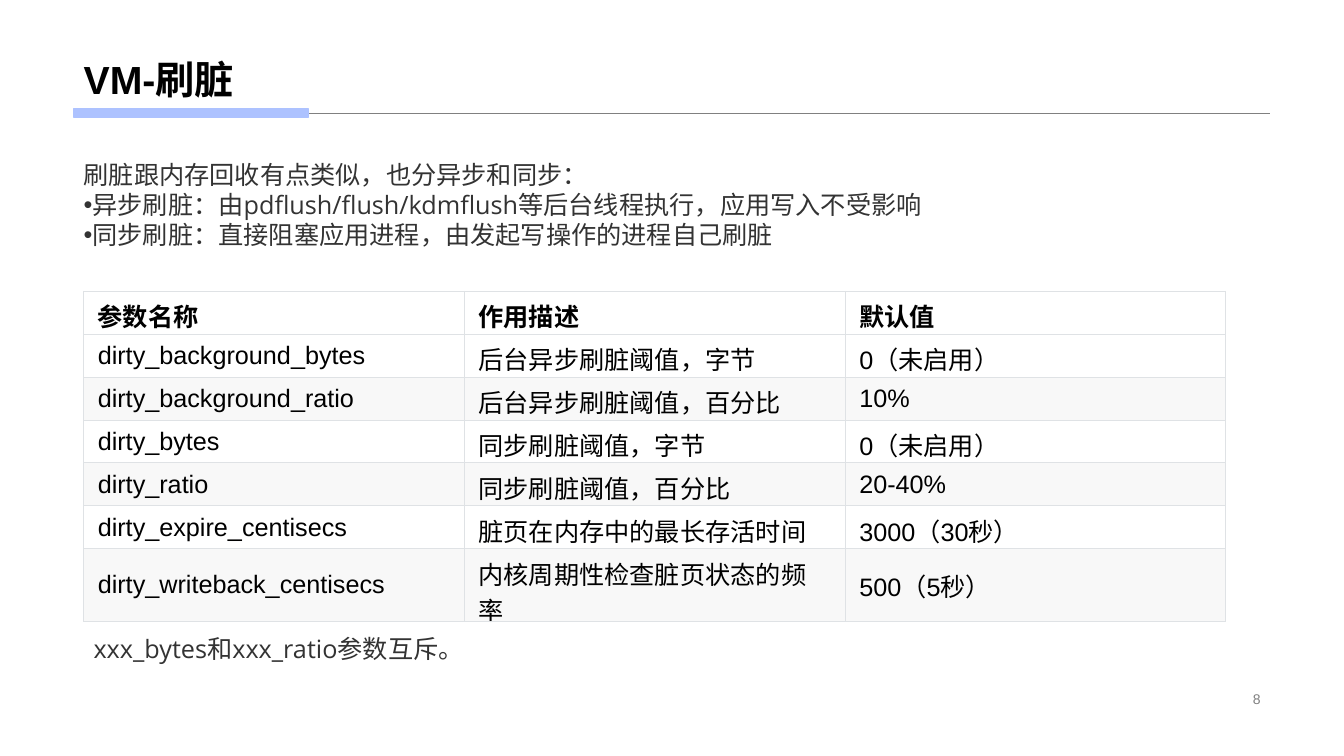
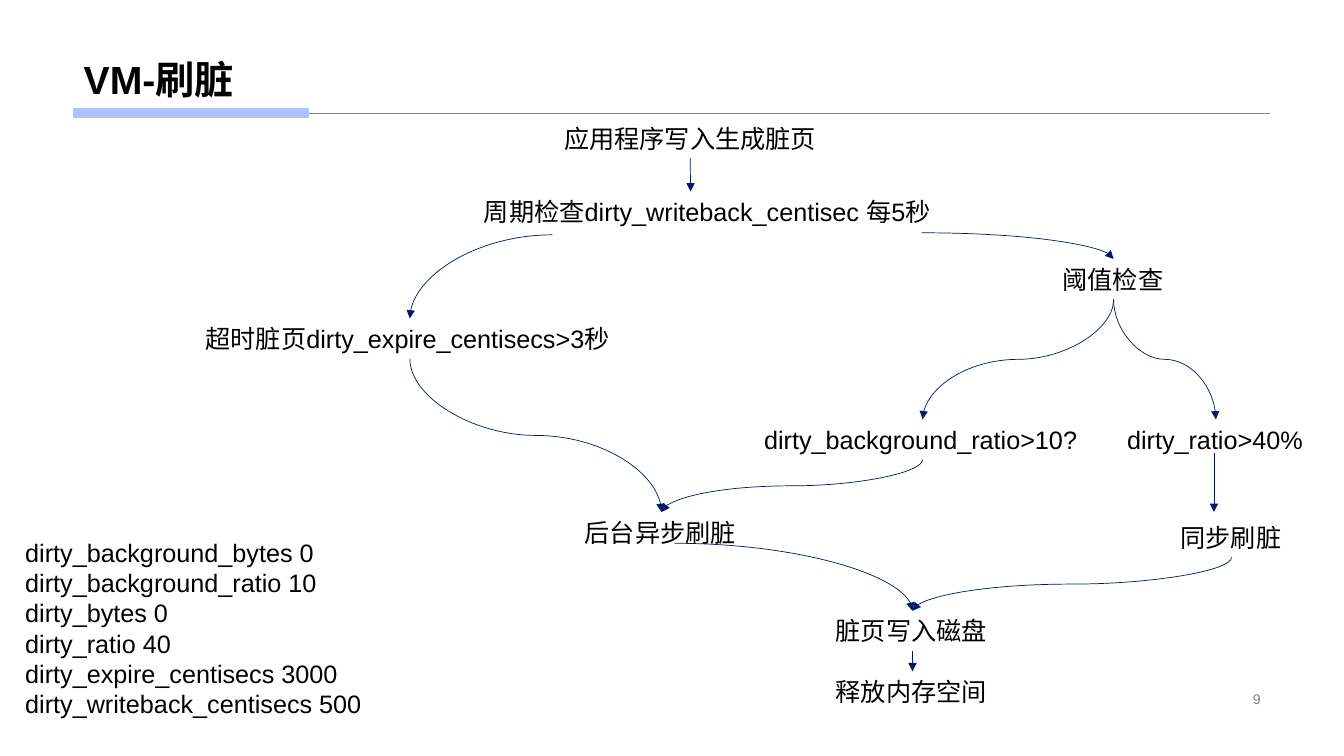
from dataclasses import dataclass

from lxml.etree import SubElement
from pptx import Presentation
from pptx.dml.color import RGBColor
from pptx.enum.shapes import MSO_CONNECTOR as Connector, MSO_SHAPE as Shape
from pptx.enum.text import MSO_ANCHOR as Anchor, MSO_AUTO_SIZE as AutoSize, PP_ALIGN as Align
from pptx.oxml.ns import qn
from pptx.util import Inches, Pt


@dataclass(frozen=True)
class Theme:
    font: str = "Arial"
    note_font: str = "Open Sans"
    ink: str = "000000"
    note: str = "333333"
    grey: str = "808080"
    accent: str = "ADC2FF"
    arrow: str = "001A66"
    border: str = "DFE2E5"
    white: str = "FFFFFF"
    stripe: str = "F8F8F8"
    title_size: int = 28
    text_size: int = 18
    number_size: int = 10


THEME = Theme()
TITLE_AND_CONTENT = 1
TOP, BOTTOM = 0, 2  # connection sites


def colour(code):
    return RGBColor.from_string(code)


def site_point(box, site):
    """Middle of a box's top or bottom side."""
    return box.left + box.width // 2, box.top + (box.height if site == BOTTOM else 0)


class SlideBuilder:
    def __init__(self, deck, theme):
        self.deck, self.theme, self.slide = deck, theme, None

    def new_slide(self, title, number):
        theme = self.theme
        self.slide = self.deck.slides.add_slide(self.deck.slide_layouts[TITLE_AND_CONTENT])
        # Title rule and accent band
        self.line((Inches(0.73), Inches(1.12)), (Inches(12.6), Inches(1.12)), theme.grey, 0.25)
        band = self.slide.shapes.add_shape(
            Shape.RECTANGLE, Inches(0.73), Inches(1.08), Inches(2.33), Inches(0.08))
        band.shadow.inherit = False
        band.fill.solid()
        band.fill.fore_color.rgb = colour(theme.accent)
        band.line.color.rgb = colour(theme.accent)
        band.line.width = Pt(1)
        # Title and page number
        heading = self.slide.shapes.title
        self.place(heading, 0.73, 0.43, 11.87, 0.64)
        heading.text_frame.vertical_anchor = Anchor.BOTTOM
        para = heading.text_frame.paragraphs[0]
        para.alignment, para.line_spacing = Align.LEFT, 0.9
        self.span(para, title, size=theme.title_size, bold=True)
        page = self.text(number, 9.42, 6.82, 3.18, 0.23, align=Align.RIGHT,
                         size=theme.number_size, code=theme.grey)
        page.text_frame.vertical_anchor = Anchor.MIDDLE

    def place(self, shape, left, top, width, height):
        shape.left, shape.top = Inches(left), Inches(top)
        shape.width, shape.height = Inches(width), Inches(height)

    def span(self, para, text, size=None, code=None, font=None, bold=False):
        span = para.add_run()
        span.text = text
        span.font.name = font or self.theme.font
        span.font.size = Pt(size or self.theme.text_size)
        span.font.bold = bold
        span.font.color.rgb = colour(code or self.theme.ink)

    def text(self, text, left, top, width, height=0.4, align=Align.LEFT, wrap=True, **style):
        box = self.slide.shapes.add_textbox(
            Inches(left), Inches(top), Inches(width), Inches(height))
        box.text_frame.word_wrap = wrap
        para = box.text_frame.paragraphs[0]
        para.alignment = align
        self.span(para, text, **style)
        return box

    def body(self, items, left, top, width, height, **style):
        """Fill the body placeholder with (text, bulleted) items."""
        body = self.slide.placeholders[1]
        self.place(body, left, top, width, height)
        frame = body.text_frame
        frame.auto_size, frame.vertical_anchor = AutoSize.NONE, Anchor.TOP
        for index, (text, bulleted) in enumerate(items):
            para = frame.add_paragraph() if index else frame.paragraphs[0]
            para.space_before = Pt(0)
            properties = para._p.get_or_add_pPr()
            properties.set("marL", "0")
            properties.set("indent", "0")
            if bulleted:
                SubElement(properties, qn("a:buChar")).set("char", "•")
            else:
                SubElement(properties, qn("a:buNone"))
            self.span(para, text, **style)

    def table(self, rows, left, top, width, height):
        theme = self.theme
        table = self.slide.shapes.add_table(
            len(rows), len(rows[0]), Inches(left), Inches(top),
            Inches(width), Inches(height)).table
        table.first_row = table.horz_banding = False
        for row, values in enumerate(rows):
            striped = row > 0 and row % 2 == 0
            for column, value in enumerate(values):
                cell = table.cell(row, column)
                cell.vertical_anchor = Anchor.MIDDLE
                cell.margin_left = cell.margin_right = Inches(0.14)
                cell.margin_top = cell.margin_bottom = Inches(0.06)
                self.span(cell.text_frame.paragraphs[0], value, bold=row == 0)
                self.borders(cell)
                cell.fill.solid()
                cell.fill.fore_color.rgb = colour(theme.stripe if striped else theme.white)

    def borders(self, cell):
        properties = cell._tc.get_or_add_tcPr()
        for side in ("a:lnL", "a:lnR", "a:lnT", "a:lnB"):
            edge = SubElement(properties, qn(side), w=str(Pt(0.75)))
            fill = SubElement(edge, qn("a:solidFill"))
            SubElement(fill, qn("a:srgbClr"), val=self.theme.border)

    def line(self, start, end, code, width, kind=Connector.STRAIGHT, arrow=False):
        link = self.slide.shapes.add_connector(kind, *start, *end)
        link.line.color.rgb = colour(code)
        link.line.width = Pt(width)
        properties = link._element.spPr
        if arrow:
            SubElement(properties.find(qn("a:ln")), qn("a:tailEnd"), type="triangle")
        SubElement(properties, qn("a:effectLst"))
        return link

    def arrow(self, start, end, kind=Connector.STRAIGHT):
        return self.line(start, end, self.theme.arrow, 0.5, kind, arrow=True)

    def bend(self, start, box):
        """Curve that leaves sideways and drops onto the top of a box."""
        link = self.arrow(start, site_point(box, TOP), Connector.CURVE)
        link._element.spPr.find(qn("a:prstGeom")).set("prst", "curvedConnector2")

    def wave(self, upper, lower):
        """S-curve from the bottom of one box to the top of another."""
        (x1, y1), (x2, y2) = site_point(upper, BOTTOM), site_point(lower, TOP)
        link = self.arrow((x1, y1), (x2, y2), Connector.CURVE)
        # The preset runs sideways, so its frame is turned a quarter
        drop, reach = y2 - y1, abs(x2 - x1)
        link.left, link.top = (x1 + x2 - drop) // 2, (y1 + y2 - reach) // 2
        link.width, link.height = drop, reach
        frame = link._element.spPr.find(qn("a:xfrm"))
        frame.attrib.pop("flipH", None)
        if x2 > x1:
            frame.set("rot", "16200000")
            frame.set("flipH", "1")
        else:
            frame.set("rot", "5400000")


def parameters_slide(builder):
    builder.new_slide("VM-刷脏", "8")
    note = {"font": THEME.note_font, "code": THEME.note}
    builder.body([
        ("刷脏跟内存回收有点类似，也分异步和同步：", False),
        ("异步刷脏：由pdflush/flush/kdmflush等后台线程执行，应用写入不受影响", True),
        ("同步刷脏：直接阻塞应用进程，由发起写操作的进程自己刷脏", True),
    ], 0.73, 1.53, 11.64, 1.01, **note)
    builder.table([
        ("参数名称", "作用描述", "默认值"),
        ("dirty_background_bytes", "后台异步刷脏阈值，字节", "0（未启用）"),
        ("dirty_background_ratio", "后台异步刷脏阈值，百分比", "10%"),
        ("dirty_bytes", "同步刷脏阈值，字节", "0（未启用）"),
        ("dirty_ratio", "同步刷脏阈值，百分比", "20-40%"),
        ("dirty_expire_centisecs", "脏页在内存中的最长存活时间", "3000（30秒）"),
        ("dirty_writeback_centisecs", "内核周期性检查脏页状态的频率", "500（5秒）"),
    ], 0.83, 2.89, 11.33, 2.98)
    builder.text("xxx_bytes和xxx_ratio参数互斥。", 0.83, 6.23, 6.67, **note)


def flow_slide(builder):
    builder.new_slide("VM-刷脏", "9")
    settings = ("dirty_background_bytes 0", "dirty_background_ratio 10", "dirty_bytes 0",
                "dirty_ratio 40", "dirty_expire_centisecs 3000",
                "dirty_writeback_centisecs 500")
    builder.body([(text, False) for text in settings], 0.15, 5.28, 3.7, 1.92)

    # Steps of the flow
    def step(text, left, top, width, **options):
        return builder.text(text, left, top, width, **{"wrap": False, **options})

    write = step("应用程序写入生成脏页", 5.48, 1.17, 2.73, align=Align.CENTER)
    step("周期检查dirty_writeback_centisec 每5秒", 3.68, 1.9, 6.67,
         align=Align.CENTER, wrap=True)
    threshold = step("阈值检查", 10.44, 2.57, 1.21)
    expired = step("超时脏页dirty_expire_centisecs>3秒", 1.94, 3.16, 4.25, wrap=True)
    background = step("dirty_background_ratio>10?", 7.48, 4.16, 3.34)
    ratio = step("dirty_ratio>40%", 11.08, 4.16, 1.96)
    asynchronous = step("后台异步刷脏", 5.7, 5.08, 1.72)
    synchronous = step("同步刷脏", 11.61, 5.13, 1.21)
    disk = step("脏页写入磁盘", 8.19, 6.06, 1.72)
    release = step("释放内存空间", 8.19, 6.66, 1.72)

    # Straight arrows
    first = builder.arrow(site_point(write, BOTTOM), (Inches(6.85), Inches(1.9)))
    first.begin_connect(write, BOTTOM)
    builder.arrow((Inches(12.04), Inches(4.49)), (Inches(12.04), Inches(5.08)))
    last = builder.arrow(site_point(disk, BOTTOM), site_point(release, TOP))
    last.begin_connect(disk, BOTTOM)
    last.end_connect(release, TOP)

    # Curved arrows
    for left, top, target in ((5.48, 2.33, expired), (9.14, 2.31, threshold),
                              (6.69, 5.39, disk)):
        builder.bend((Inches(left), Inches(top)), target)
    for upper, lower in ((threshold, background), (threshold, ratio),
                         (background, asynchronous), (expired, asynchronous),
                         (synchronous, disk)):
        builder.wave(upper, lower)


def main():
    deck = Presentation()
    deck.slide_width, deck.slide_height = Inches(13.33), Inches(7.5)
    builder = SlideBuilder(deck, THEME)
    parameters_slide(builder)
    flow_slide(builder)
    deck.save("out.pptx")


if __name__ == "__main__":
    main()
